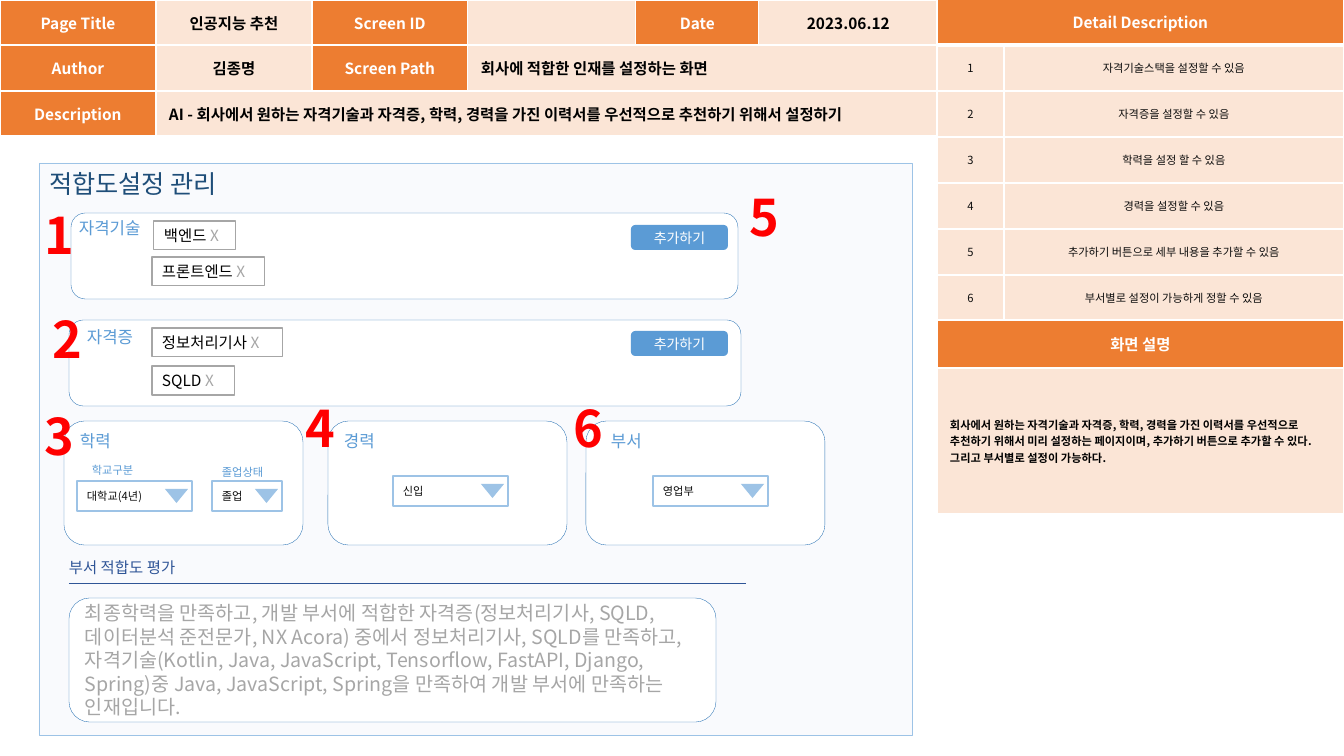
from lxml.etree import SubElement
from pptx import Presentation
from pptx.dml.color import RGBColor
from pptx.enum.shapes import MSO_CONNECTOR, MSO_SHAPE
from pptx.enum.text import MSO_ANCHOR, MSO_AUTO_SIZE, PP_ALIGN
from pptx.oxml.ns import qn
from pptx.util import Emu, Pt

FONT = "Noto Sans CJK KR"
ORANGE, PEACH, WHITE, BLACK = "ED7D31", "FBE5D6", "FFFFFF", "000000"
BLUE, PALE_BLUE, DEEP_BLUE, NAVY = "5B9BD5", "9DC3E6", "2E75B6", "2F5597"
GRAY, INK, RED = "A6A6A6", "0D0D0D", "FF0000"

# Content; places are left, top, width, height in px
# Cell styles: fill, text colour, size, bold, centred
CELL_STYLES = {
    "head": (ORANGE, WHITE, 11, True, True),
    "value": (PEACH, BLACK, 11, True, True),
    "wide": (PEACH, BLACK, 11, True, False),
    "item": (PEACH, INK, 8, False, True),
    "note": (PEACH, BLACK, 8, True, False),
}
# Cells: text, style, columns covered
PAGE_INFO = [
    [("Page Title", "head", 1), ("인공지능 추천", "value", 1), ("Screen ID", "head", 1),
     ("", "value", 1), ("Date", "head", 1), ("2023.06.12", "value", 1)],
    [("Author", "head", 1), ("김종명", "value", 1), ("Screen Path", "head", 1),
     ("회사에 적합한 인재를 설정하는 화면", "wide", 3)],
    [("Description", "head", 1),
     ("AI - 회사에서 원하는 자격기술과 자격증, 학력, 경력을 가진 이력서를 "
      "우선적으로 추천하기 위해서 설정하기", "wide", 5)],
]
DETAILS = [
    "자격기술스택을 설정할 수 있음",
    "자격증을 설정할 수 있음",
    "학력을 설정 할 수 있음",
    "경력을 설정할 수 있음",
    "추가하기 버튼으로 세부 내용을 추가할 수 있음",
    "부서별로 설정이 가능하게 정할 수 있음",
]
SCREEN_NOTE = ("회사에서 원하는 자격기술과 자격증, 학력, 경력을 가진 이력서를 우선적으로 "
               "추천하기 위해서 미리 설정하는 페이지이며, 추가하기 버튼으로 추가할 수 있다. "
               "그리고 부서별로 설정이 가능하다.")
TITLE = ("적합도설정 관리", (39, 163, 330, 40))
PANEL = (39, 163, 873, 572)
CARDS = [(71, 213, 667, 86), (69, 320, 672, 86)] + [
    (left, 421, 239, 124) for left in (64, 328, 586)]
# Labels: text, left, top, width, size, colour
LABELS = [
    ("자격기술", 69, 213, 200, 12, BLUE),
    ("자격증", 77, 322, 80, 12, BLUE),
    ("학력", 70, 426, 200, 12, BLUE),
    ("경력", 334, 426, 200, 12, BLUE),
    ("부서", 601, 426, 200, 12, BLUE),
    ("학교구분", 82, 458, 200, 8, BLUE),
    ("졸업상태", 212, 460, 200, 8, BLUE),
    ("부서 적합도 평가", 59, 553, 170, 11, NAVY),
]
CHIPS = [
    ("백엔드", (154, 221, 82, 29)),
    ("프론트엔드", (152, 257, 113, 29)),
    ("정보처리기사", (152, 328, 131, 29)),
    ("SQLD", (152, 366, 83, 29)),
]
ADD_BUTTON, BUTTON_TOPS = "추가하기", (225, 331)
# Drop-downs: text, left, top, width
SELECTS = [("대학교(4년)", 77, 481, 115), ("졸업", 212, 481, 70),
           ("신입", 393, 476, 115), ("영업부", 653, 476, 115)]
MARKERS = [("1", 35, 199), ("2", 43, 303), ("3", 35, 400),
           ("4", 296, 392), ("5", 740, 181), ("6", 564, 392)]
RULE = (69, 583, 746)
REVIEW = ("최종학력을 만족하고, 개발 부서에 적합한 자격증(정보처리기사, SQLD, "
          "데이터분석 준전문가, NX Acora) 중에서 정보처리기사, SQLD를 만족하고, "
          "자격기술(Kotlin, Java, JavaScript, Tensorflow, FastAPI, Django, Spring)중 "
          "Java, JavaScript, Spring을 만족하여 개발 부서에 만족하는 인재입니다.",
          (69, 598, 647, 124))


def px(length):
    return Emu(round(length * 914400 / 100.8))


def box(place):
    return [px(length) for length in place]


def color(code):
    return RGBColor.from_string(code)


def write(frame, runs, size, bold=False, centred=False):
    paragraph = frame.paragraphs[0]
    paragraph.alignment = PP_ALIGN.CENTER if centred else PP_ALIGN.LEFT
    for text, ink in runs:
        run = paragraph.add_run()
        run.text = text
        run.font.size, run.font.bold = Pt(size), bold
        run.font.color.rgb = color(ink)
        run.font.name = FONT
        SubElement(run.font._element, qn("a:ea"), typeface=FONT)


def add_shape(kind, place, fill=None, line=None, width=0.25):
    shape = slide.shapes.add_shape(kind, *box(place))
    shape.shadow.inherit = False
    if fill:
        shape.fill.solid()
        shape.fill.fore_color.rgb = color(fill)
    else:
        shape.fill.background()
    if line:
        shape.line.color.rgb = color(line)
        shape.line.width = Pt(width)
    else:
        shape.line.fill.background()
    return shape


def add_label(text, place, size, ink, bold=False):
    frame = slide.shapes.add_textbox(*box(place)).text_frame
    frame.word_wrap = True
    write(frame, [(text, ink)], size, bold)


def add_border(cell, side, points):
    line = SubElement(cell._tc.get_or_add_tcPr(), qn("a:" + side), w=str(Pt(points)))
    SubElement(SubElement(line, qn("a:solidFill")), qn("a:srgbClr"), val=WHITE)


def add_grid(left, top, widths, heights, rows, head_rule=1):
    place = (left, top, sum(widths), sum(heights))
    table = slide.shapes.add_table(len(heights), len(widths), *box(place)).table
    for column, width in zip(table.columns, widths):
        column.width = px(width)
    for r, (row, height) in enumerate(zip(rows, heights)):
        table.rows[r].height = px(height)
        c = 0
        for text, style, span in row:
            fill, ink, size, bold, centred = CELL_STYLES[style]
            for covered in range(c, c + span):
                cell = table.cell(r, covered)
                for side in ("lnL", "lnR", "lnT", "lnB"):
                    thick = (side == "lnB" and r == 0) or (side == "lnT" and r == 1)
                    add_border(cell, side, head_rule if thick else 1)
                cell.fill.solid()
                cell.fill.fore_color.rgb = color(fill)
            cell = table.cell(r, c)
            if span > 1:
                cell.merge(table.cell(r, c + span - 1))
            cell.vertical_anchor = MSO_ANCHOR.MIDDLE
            cell.margin_left = cell.margin_right = px(13)
            cell.margin_top = cell.margin_bottom = px(5)
            if text:
                write(cell.text_frame, [(text, ink)], size, bold, centred)
            c += span


presentation = Presentation()
presentation.slide_width, presentation.slide_height = px(1344), px(756)
slide = presentation.slides.add_slide(presentation.slide_layouts[5])

# Page information and detail tables
add_grid(0, 0, [156, 156, 156, 168, 123, 179], [45, 46, 45], PAGE_INFO)
detail_rows = [[("Detail Description", "head", 2)]]
detail_rows += [[(str(n), "item", 1), (text, "item", 1)] for n, text in enumerate(DETAILS, 1)]
detail_rows += [[("화면 설명", "head", 2)], [(SCREEN_NOTE, "note", 2)]]
add_grid(937, -1, [67, 340], [46] * 6 + [45, 48, 146], detail_rows, head_rule=3)

# Screen panel, with the title raised above it
add_shape(MSO_SHAPE.RECTANGLE, PANEL, "F9FAFD", PALE_BLUE, 0.5)
title = slide.shapes.title
title.left, title.top, title.width, title.height = box(TITLE[1])
title.text_frame.auto_size = MSO_AUTO_SIZE.NONE
title.text_frame.vertical_anchor = MSO_ANCHOR.TOP
write(title.text_frame, [(TITLE[0], "1F4E79")], 18)
slide.shapes._spTree.append(title._element)

# Cards and labels
for card in CARDS:
    add_shape(MSO_SHAPE.ROUNDED_RECTANGLE, card, WHITE, DEEP_BLUE)
for text, left, top, width, size, ink in LABELS:
    add_label(text, (left, top, width, 30 if size > 8 else 24), size, ink)

# Chips and add buttons
for text, place in CHIPS:
    frame = add_shape(MSO_SHAPE.RECTANGLE, place, None, GRAY, 0.75).text_frame
    frame.vertical_anchor = MSO_ANCHOR.TOP
    frame.margin_right = 0
    write(frame, [(text + " ", BLACK), ("X", GRAY)], 11)
for top in BUTTON_TOPS:
    button = add_shape(MSO_SHAPE.ROUNDED_RECTANGLE, (631, top, 97, 25), BLUE)
    write(button.text_frame, [(ADD_BUTTON, WHITE)], 10, centred=True)

# Drop-downs
for text, left, top, width in SELECTS:
    field = add_shape(MSO_SHAPE.RECTANGLE, (left, top, width, 30), WHITE, PALE_BLUE, 1)
    write(field.text_frame, [(text, INK)], 8)
    arrow_place = (left + width - 27, top + 8, 23, 14)
    add_shape(MSO_SHAPE.ISOSCELES_TRIANGLE, arrow_place, PALE_BLUE).rotation = 180

# Department review
rule_left, rule_top, rule_right = RULE
rule = slide.shapes.add_connector(
    MSO_CONNECTOR.STRAIGHT, *box((rule_left, rule_top, rule_right, rule_top)))
rule.line.color.rgb = color(NAVY)
rule.line.width = Pt(0.5)
SubElement(rule._element.spPr, qn("a:effectLst"))
review = add_shape(MSO_SHAPE.ROUNDED_RECTANGLE, REVIEW[1], WHITE, DEEP_BLUE)
write(review.text_frame, [(REVIEW[0], GRAY)], 14)

# Numbered markers
for number, left, top in MARKERS:
    add_label(number, (left, top, 64, 71), 36, RED, bold=True)

presentation.save("out.pptx")
